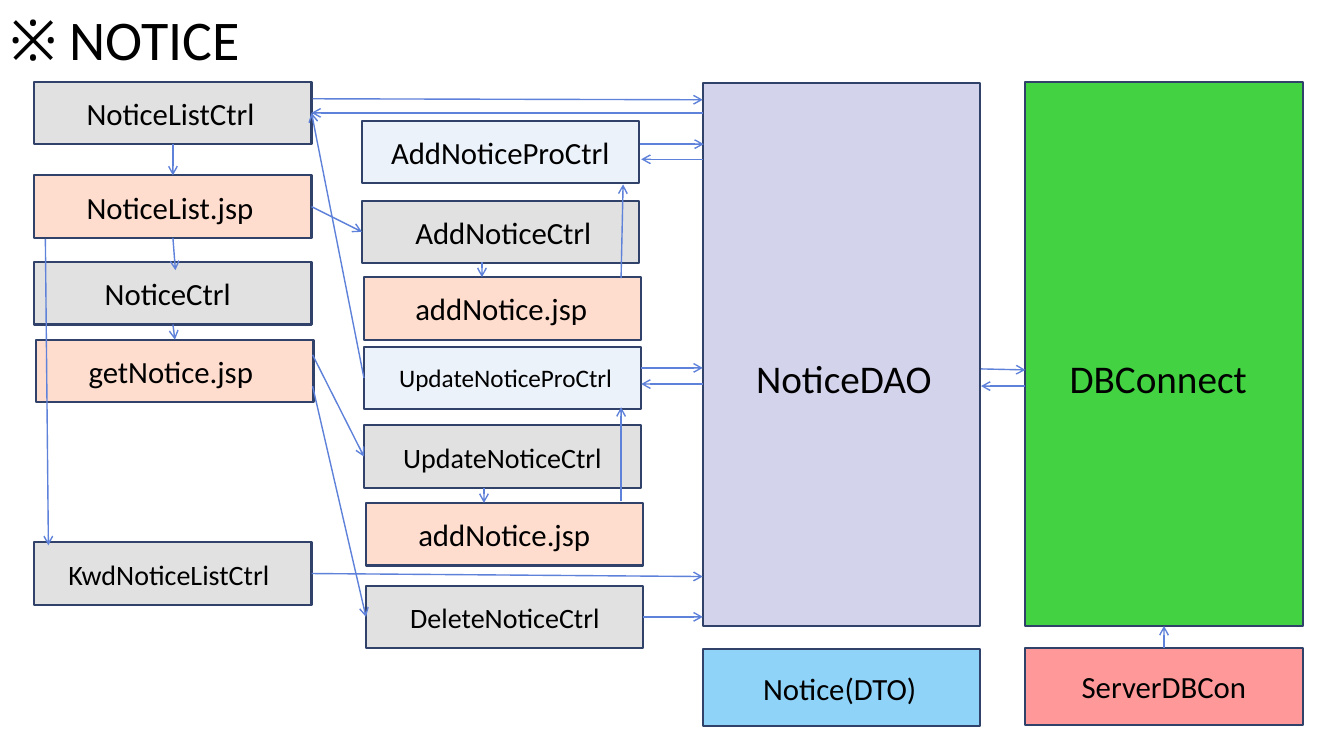
from pptx import Presentation
from pptx.dml.color import RGBColor
from pptx.enum.shapes import MSO_CONNECTOR, MSO_SHAPE
from pptx.enum.text import MSO_AUTO_SIZE
from pptx.oxml.ns import qn
from pptx.util import Pt
from lxml import etree

PX = 9144  # 100 px to the inch
SLIDE_WIDTH, SLIDE_HEIGHT = 1333, 750
BOX_WIDTH, BOX_HEIGHT, BASE_HEIGHT = 275, 62, 76
TOP, LEFT, BOTTOM, RIGHT = range(4)
RECTANGLE, STRAIGHT = MSO_SHAPE.RECTANGLE, MSO_CONNECTOR.STRAIGHT
GROW = MSO_AUTO_SIZE.SHAPE_TO_FIT_TEXT

BLACK = RGBColor(0x00, 0x00, 0x00)
NAVY = RGBColor(0x30, 0x41, 0x6A)
ARROW_BLUE = RGBColor(0x5E, 0x81, 0xD9)
GREEN = RGBColor(0x42, 0xD2, 0x42)
LAVENDER = RGBColor(0xD3, 0xD3, 0xEB)
SKY = RGBColor(0x90, 0xD3, 0xF8)
CORAL = RGBColor(0xFF, 0x99, 0x99)
GREY = RGBColor(0xE1, 0xE1, 0xE1)
PEACH = RGBColor(0xFF, 0xDD, 0xCE)
PALE_BLUE = RGBColor(0xEC, 0xF2, 0xFA)

presentation = Presentation()
presentation.slide_width = SLIDE_WIDTH * PX
presentation.slide_height = SLIDE_HEIGHT * PX
slide = presentation.slides.add_slide(presentation.slide_layouts[6])


def add_label(text, left, middle, width, size):
    height = 10 + size * 5 // 3
    top = middle - height // 2
    label = slide.shapes.add_textbox(left * PX, top * PX, width * PX, height * PX)
    text_frame = label.text_frame
    text_frame.word_wrap = True
    text_frame.auto_size = GROW
    text_frame.text = text
    font = text_frame.paragraphs[0].runs[0].font
    font.name, font.size, font.color.rgb = "Calibri", Pt(size), BLACK


def add_box(left, top, height, fill):
    shape = slide.shapes.add_shape(
        RECTANGLE, left * PX, top * PX, BOX_WIDTH * PX, height * PX)
    shape.shadow.inherit = False
    shape.fill.solid()
    shape.fill.fore_color.rgb = fill
    shape.line.color.rgb = NAVY
    shape.line.width = Pt(1.5)
    return shape


# Title
add_label("※ NOTICE", 0, 38, 454, 40)

# Tall panels, labelled at the middle of the slide
panels = [
    ("DBConnect", 1017, 81, 540, GREEN, 1051, 206),
    ("NoticeDAO", 697, 82, 539, LAVENDER, 740, 199),
]
boxes = {}
for name, left, top, height, fill, label_left, label_width in panels:
    boxes[name] = add_box(left, top, height, fill)
    add_label(name, label_left, SLIDE_HEIGHT // 2, label_width, 28)

# Small boxes: name, left, top, height, fill, label left, label width, text size
small_boxes = [
    ("NoticeListCtrl", 34, 81, BOX_HEIGHT, GREY, 76, 192, 22),
    ("NoticeList.jsp", 34, 174, BOX_HEIGHT, PEACH, 76, 192, 22),
    ("NoticeCtrl", 34, 260, BOX_HEIGHT, GREY, 94, 159, 22),
    ("getNotice.jsp", 36, 337, BOX_HEIGHT, PEACH, 78, 192, 22),
    ("KwdNoticeListCtrl", 34, 538, BOX_HEIGHT, GREY, 58, 229, 20),
    ("AddNoticeProCtrl", 359, 120, BOX_HEIGHT, PALE_BLUE, 378, 239, 22),
    ("AddNoticeCtrl", 359, 199, BOX_HEIGHT, GREY, 402, 202, 22),
    ("addNotice.jsp", 361, 275, BOX_HEIGHT, PEACH, 402, 192, 22),
    ("UpdateNoticeProCtrl", 361, 344, BOX_HEIGHT, PALE_BLUE, 386, 239, 18),
    ("UpdateNoticeCtrl", 361, 422, BOX_HEIGHT, GREY, 390, 221, 20),
    ("addNotice.jsp", 363, 499, BOX_HEIGHT, PEACH, 405, 192, 22),
    ("DeleteNoticeCtrl", 363, 581, BOX_HEIGHT, GREY, 397, 209, 20),
    ("Notice(DTO)", 697, 644, BASE_HEIGHT, SKY, 747, 184, 22),
    ("ServerDBCon", 1017, 643, BASE_HEIGHT, CORAL, 1063, 184, 22),
]
for name, left, top, height, fill, label_left, label_width, size in small_boxes:
    boxes[name] = add_box(left, top, height, fill)
    add_label(name, label_left, top + height // 2, label_width, size)

# Arrows: each end is a point, or a box name with the side it joins
arrows = [
    # Left column
    (("NoticeListCtrl", BOTTOM), ("NoticeList.jsp", TOP)),
    (("NoticeList.jsp", BOTTOM), (174, 268)),
    (("NoticeCtrl", BOTTOM), ("getNotice.jsp", TOP)),
    ((45, 237), (48, 541)),
    # Left column to middle column
    (("NoticeList.jsp", RIGHT), ("AddNoticeCtrl", LEFT)),
    ((310, 352), ("UpdateNoticeCtrl", LEFT)),
    ((310, 383), ("DeleteNoticeCtrl", LEFT)),
    (("UpdateNoticeProCtrl", LEFT), ("NoticeListCtrl", RIGHT)),
    # Middle column
    ((478, 260), (478, 275)),
    ((616, 276), (618, 183)),
    ((480, 484), (480, 499)),
    ((616, 497), (616, 404)),
    # To and from NoticeDAO
    ((310, 98), (697, 99)),
    ((697, 112), ("NoticeListCtrl", RIGHT)),
    ((635, 143), (698, 143)),
    ((697, 158), (636, 158)),
    ((636, 365), (697, 365)),
    ((697, 381), (636, 381)),
    (("KwdNoticeListCtrl", RIGHT), (697, 572)),
    (("DeleteNoticeCtrl", RIGHT), (697, 612)),
    # To and from DBConnect
    ((973, 366), (1017, 367)),
    ((1017, 383), (973, 383)),
    (("ServerDBCon", TOP), ("DBConnect", BOTTOM)),
]
for start, end in arrows:
    start_joined, end_joined = start[0] in boxes, end[0] in boxes
    start_x, start_y = (0, 0) if start_joined else start
    end_x, end_y = (0, 0) if end_joined else end
    connector = slide.shapes.add_connector(
        STRAIGHT, start_x * PX, start_y * PX, end_x * PX, end_y * PX)
    if start_joined:
        connector.begin_connect(boxes[start[0]], start[1])
    if end_joined:
        connector.end_connect(boxes[end[0]], end[1])
    connector.line.color.rgb = ARROW_BLUE
    connector.line.width = Pt(1)
    line = connector.line._get_or_add_ln()
    etree.SubElement(line, qn("a:tailEnd")).set("type", "arrow")
    etree.SubElement(connector._element.spPr, qn("a:effectLst"))

presentation.save("out.pptx")
